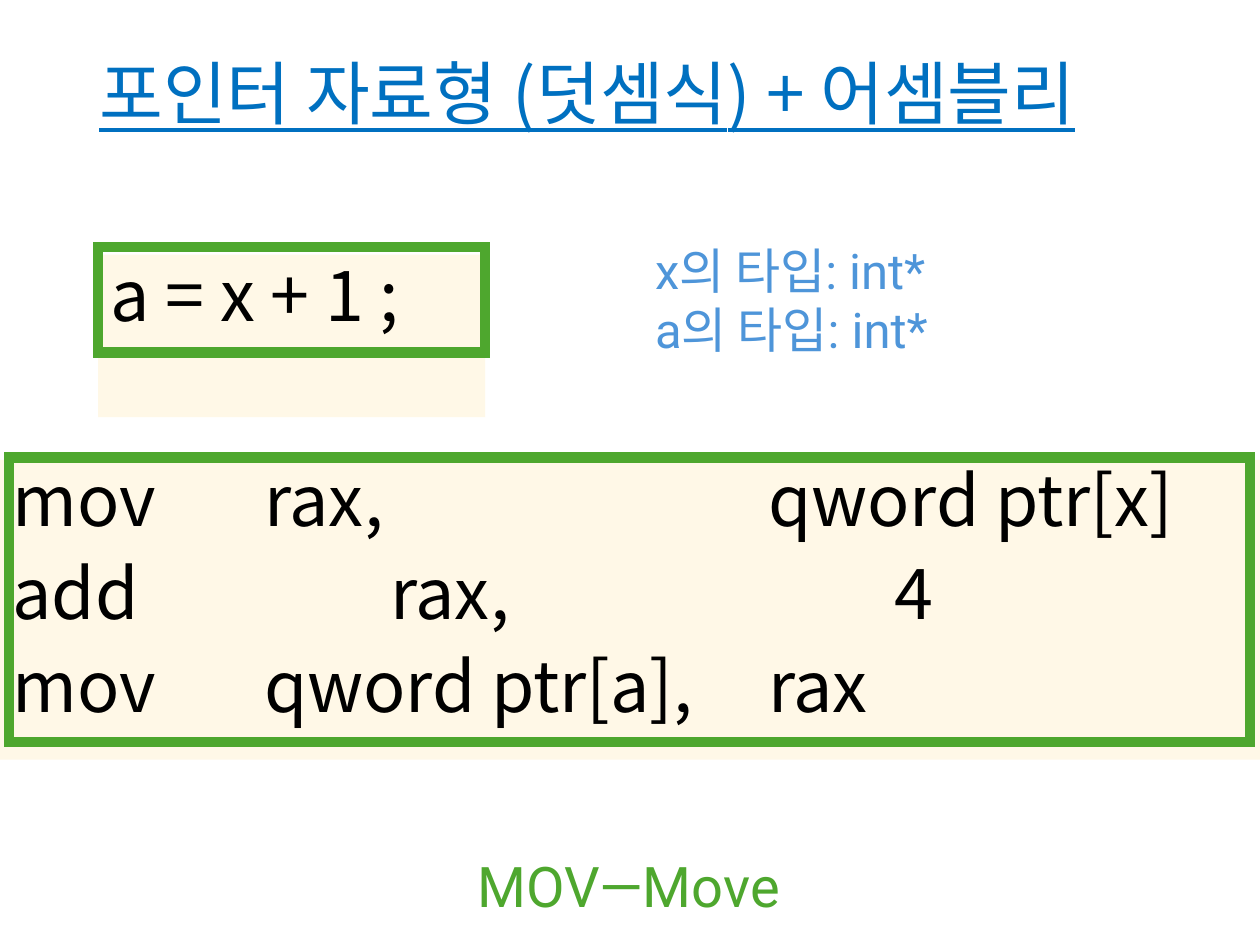
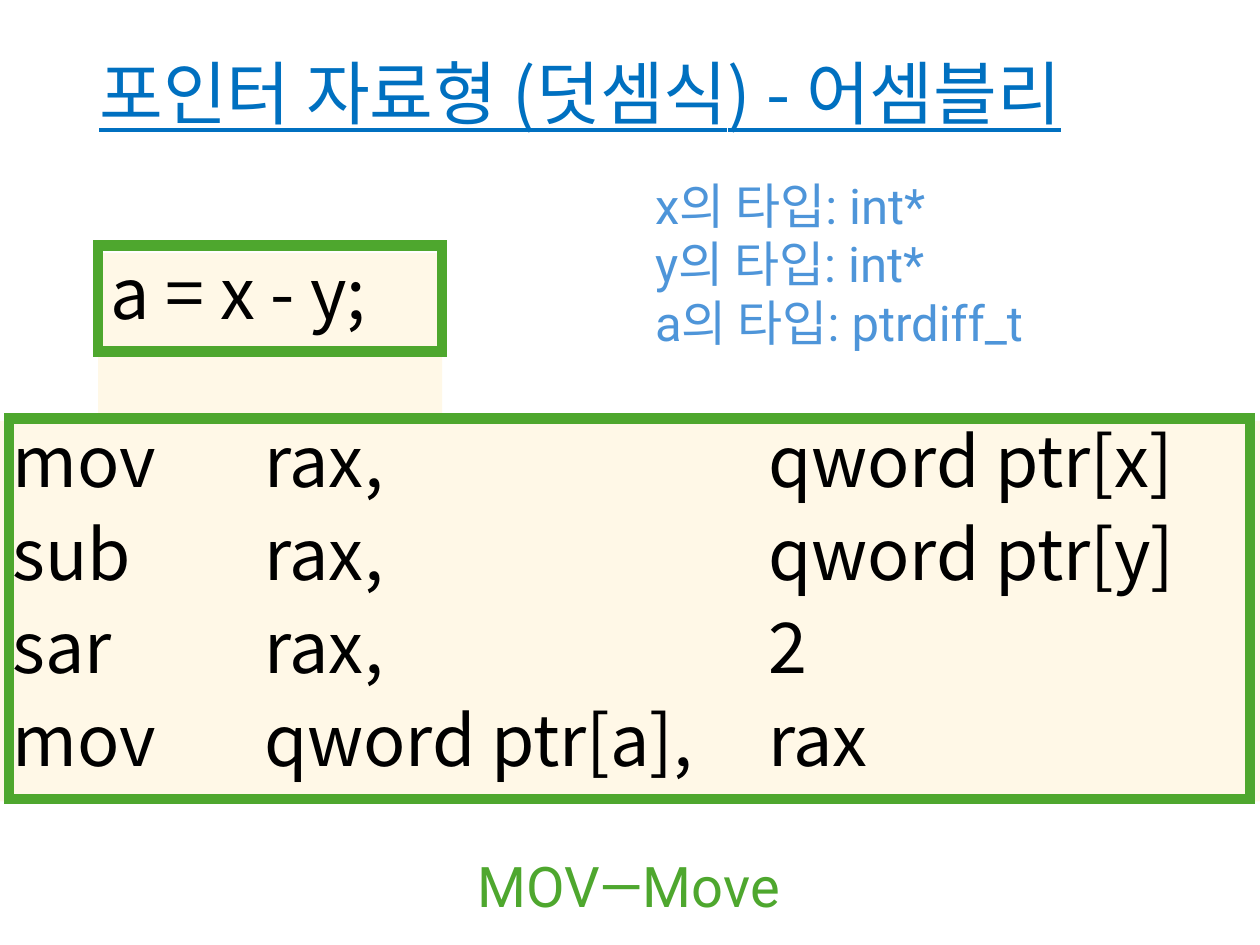
from lxml import etree
from pptx import Presentation
from pptx.dml.color import RGBColor
from pptx.enum.shapes import MSO_SHAPE as SHAPE
from pptx.enum.text import MSO_ANCHOR as ANCHOR, PP_ALIGN as ALIGN
from pptx.oxml.ns import qn
from pptx.util import Inches, Pt

TITLE_BLUE = RGBColor(0x00, 0x70, 0xC0)
TYPE_BLUE = RGBColor(0x4E, 0x95, 0xD9)
GREEN = RGBColor(0x4E, 0xA7, 0x2E)
CREAM = RGBColor(0xFF, 0xF8, 0xE7)
BLACK = RGBColor(0, 0, 0)

KOREAN = "Noto Sans CJK KR"
LATIN = "Roboto"
TITLE = {"name": KOREAN, "size": Pt(39.6), "color": TITLE_BLUE, "underline": True}
CODE = {"name": KOREAN, "size": Pt(40), "color": BLACK}
TYPES = {"name": LATIN, "size": Pt(28), "color": TYPE_BLUE}
NOTE = {"name": LATIN, "size": Pt(32), "color": GREEN}
TIGHT = {"line_spacing": 0.9}

SLIDES = [
    {
        "title": "포인터 자료형 (덧셈식) + 어셈블리",
        "expression": "a = x + 1 ;",
        "expression_box": (0.78, 2.02, 3.07, 1.29),
        "expression_frame": (0.78, 1.96, 3.07, 0.84),
        "assembly": [
            "mov\trax,\t\t\t\tqword ptr[x]",
            "add\t\trax,\t\t\t\t4",
            "mov\tqword ptr[a],\trax",
        ],
        "assembly_box": (0, 3.65, 10, 2.38),
        "assembly_frame": (0.07, 3.63, 9.85, 2.26),
        "types": ["x의 타입: int*", "a의 타입: int*"],
        "types_box": (5.1, 1.86, 3.38, 1.04),
    },
    {
        "title": "포인터 자료형 (덧셈식) - 어셈블리",
        "expression": "a = x - y;",
        "expression_box": (0.78, 2.01, 2.73, 1.29),
        "expression_frame": (0.78, 1.95, 2.73, 0.84),
        "assembly": [
            "mov\trax,\t\t\t\tqword ptr[x]",
            "sub\t\trax,\t\t\t\tqword ptr[y]",
            "sar\t\trax,\t\t\t\t2",
            "mov\tqword ptr[a],\trax",
        ],
        "assembly_box": (0, 3.34, 10, 3.02),
        "assembly_frame": (0.07, 3.32, 9.85, 3.02),
        "types": ["x의 타입: int*", "y의 타입: int*", "a의 타입: ptrdiff_t"],
        "types_box": (5.1, 1.34, 3.38, 1.51),
    },
]


def add_text(page, place, lines, font, layout=None, fill=None, anchor=ANCHOR.TOP, gap=0):
    """Add a text box with one paragraph per line, gap points apart."""
    box = page.shapes.add_textbox(*map(Inches, place))
    if fill is not None:
        box.fill.solid()
        box.fill.fore_color.rgb = fill
    frame = box.text_frame
    frame.word_wrap = True
    frame.vertical_anchor = anchor
    for index, line in enumerate(lines):
        para = frame.add_paragraph() if index else frame.paragraphs[0]
        for key, value in (layout or {}).items():
            setattr(para, key, value)
        if index and gap:
            para.space_before = Pt(gap)
        if "\t" in line:
            tabs = etree.SubElement(para._p.get_or_add_pPr(), qn("a:tabLst"))
            for inch in range(1, 10):
                etree.SubElement(tabs, qn("a:tab"), pos=str(Inches(inch)), algn="l")
        span = para.add_run()
        span.text = line
        for key, value in font.items():
            if key == "color":
                span.font.color.rgb = value
            else:
                setattr(span.font, key, value)


def add_frame(page, place):
    """Add an unfilled rectangle with a thick, square-cornered green outline."""
    frame = page.shapes.add_shape(SHAPE.RECTANGLE, *map(Inches, place))
    frame.shadow.inherit = False
    frame.fill.background()
    frame.line.color.rgb = GREEN
    frame.line.width = Pt(6)
    outline = frame._element.spPr.find(qn("a:ln"))
    etree.SubElement(outline, qn("a:miter"), lim="800000")


deck = Presentation()
deck.slide_width = Inches(10)
deck.slide_height = Inches(7.5)

for content in SLIDES:
    page = deck.slides.add_slide(deck.slide_layouts[6])
    add_text(page, (0.69, 0.4, 9.3, 0.74), [content["title"]], TITLE, TIGHT, anchor=ANCHOR.MIDDLE)
    add_text(page, content["expression_box"], [content["expression"]], CODE, TIGHT, CREAM)
    add_text(page, content["assembly_box"], content["assembly"], CODE, TIGHT, CREAM, gap=10)
    add_frame(page, content["expression_frame"])
    add_frame(page, content["assembly_frame"])
    add_text(page, (1.5, 6.71, 6.98, 0.64), ["MOV—Move"], NOTE, {"alignment": ALIGN.CENTER})
    add_text(page, content["types_box"], content["types"], TYPES)

deck.save("out.pptx")
